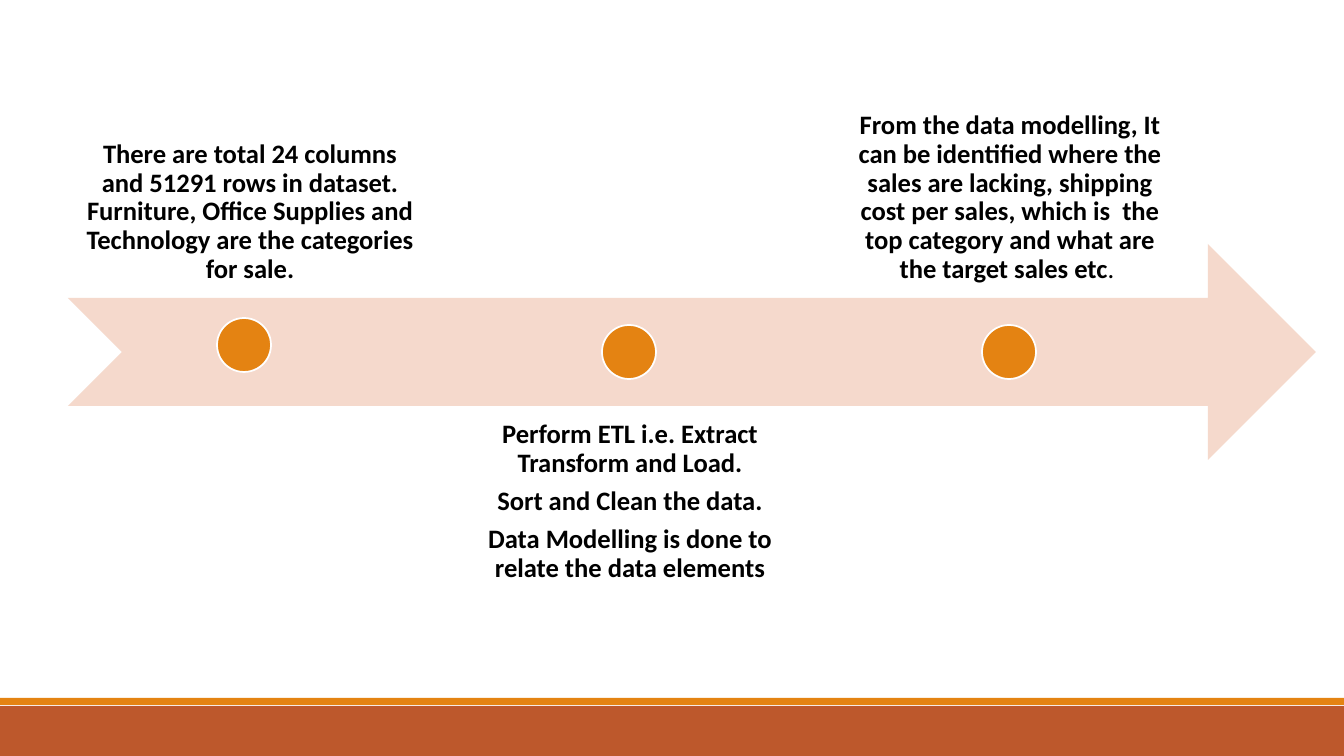
from dataclasses import dataclass

from pptx import Presentation
from pptx import util as u
from pptx.dml.color import RGBColor
from pptx.enum import shapes, text

SCALE = 914400 / 100.8  # EMU in one px
WIDE, HIGH = 1344, 756
BOX_W, BOX_H = 362, 216
LEFT, STEP = 69, 380
INSET = 15
DOT = 54
RUST, AMBER, BLUSH = "BD582C", "E48312", "F5D9CC"
WHITE, BLACK = "FFFFFF", "000000"
KIND = shapes.MSO_SHAPE


@dataclass
class Step:
    lines: list[str]
    top: int
    anchor: text.MSO_ANCHOR
    dot_x: int
    dot_y: int
    tail: str = ""  # closing text in regular weight


STEPS = [
    Step(["There are total 24 columns and 51291 rows in dataset. "
          "Furniture, Office Supplies and Technology are the categories for sale."],
         83, text.MSO_ANCHOR.BOTTOM, 217, 318),
    Step(["Perform ETL i.e. Extract Transform and Load.",
          "Sort and Clean the data.",
          "Data Modelling is done to relate the data elements"],
         406, text.MSO_ANCHOR.TOP, 602, 325),
    Step(["From the data modelling, It can be identified where the sales are lacking, "
          "shipping cost per sales, which is  the top category and what are "
          "the target sales etc"],
         83, text.MSO_ANCHOR.BOTTOM, 982, 325, ". "),
]


def px(n: int) -> u.Emu:
    return u.Emu(round(n * SCALE))


def color(code: str) -> RGBColor:
    return RGBColor.from_string(code)


def draw_shape(slide, kind: KIND, x: int, y: int, w: int, h: int,
               fill: str, line: str = "") -> None:
    shape = slide.shapes.add_shape(kind, px(x), px(y), px(w), px(h))
    shape.shadow.inherit = False
    shape.fill.solid()
    shape.fill.fore_color.rgb = color(fill)
    if line:
        shape.line.color.rgb = color(line)
        shape.line.width = u.Pt(1.25)
    else:
        shape.line.fill.background()


def draw_step(slide, step: Step, x: int) -> None:
    box = slide.shapes.add_textbox(px(x), px(step.top), px(BOX_W), px(BOX_H))
    frame = box.text_frame
    frame.word_wrap = True
    frame.vertical_anchor = step.anchor
    frame.margin_left = frame.margin_right = px(INSET)
    frame.margin_top = frame.margin_bottom = px(INSET)
    for i, line in enumerate(step.lines):
        para = frame.add_paragraph() if i else frame.paragraphs[0]
        para.alignment = text.PP_ALIGN.CENTER
        para.line_spacing = 0.9
        para.space_after = u.Pt(6.65)
        font = para.font
        font.name, font.size, font.bold = "Calibri", u.Pt(19), True
        font.color.rgb = color(BLACK)
        para.add_run().text = line
    if step.tail:
        run = para.add_run()
        run.text = step.tail
        run.font.bold = False
    draw_shape(slide, KIND.OVAL, step.dot_x, step.dot_y, DOT, DOT, AMBER, WHITE)


def main() -> None:
    deck = Presentation()
    deck.slide_width, deck.slide_height = px(WIDE), px(HIGH)
    slide = deck.slides.add_slide(deck.slide_layouts[6])

    # Footer bands
    draw_shape(slide, KIND.RECTANGLE, 0, 706, WIDE, 50, RUST)
    draw_shape(slide, KIND.RECTANGLE, 0, 698, WIDE, 7, AMBER)

    # Timeline arrow with its steps
    draw_shape(slide, KIND.NOTCHED_RIGHT_ARROW, 68, 244, 1248, 216, BLUSH)
    for i, step in enumerate(STEPS):
        draw_step(slide, step, LEFT + i * STEP)

    deck.save("out.pptx")


if __name__ == "__main__":
    main()
